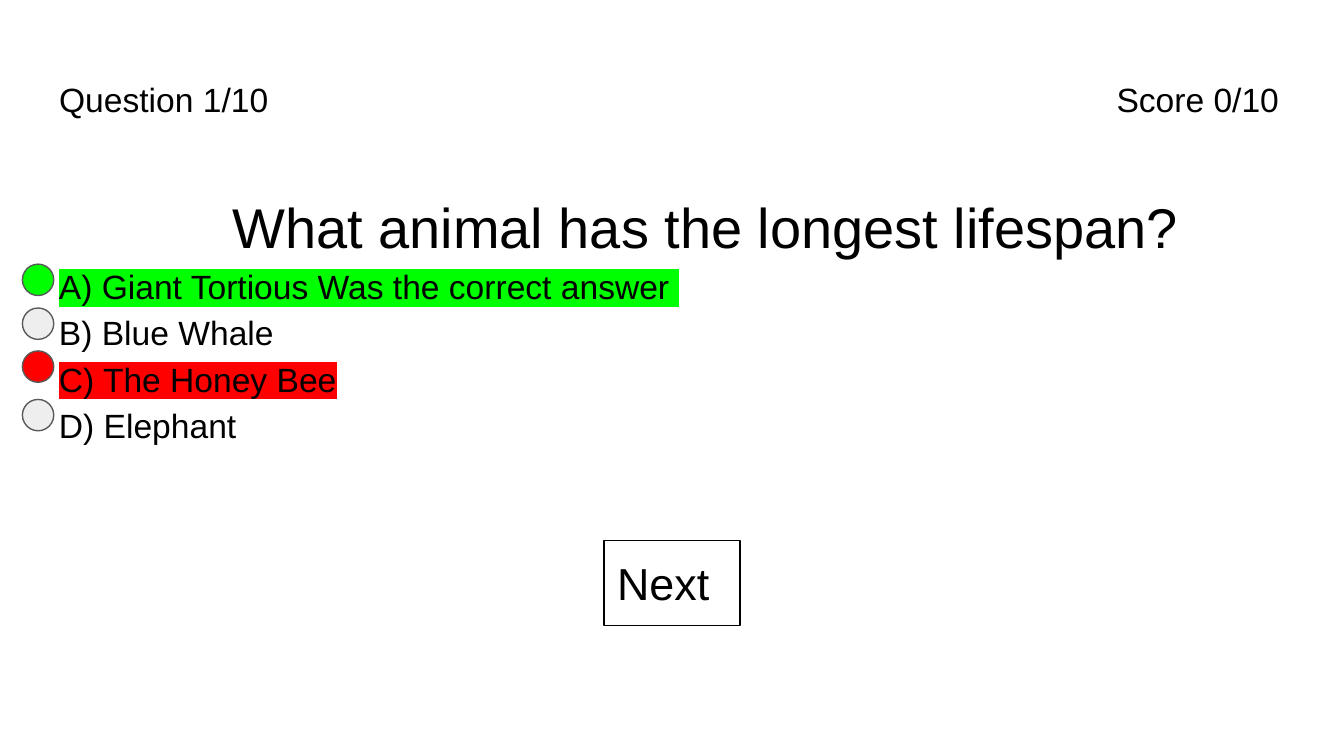
from dataclasses import dataclass

from lxml.etree import SubElement
from pptx import Presentation
from pptx.dml.color import RGBColor
from pptx.enum.shapes import MSO_SHAPE
from pptx.enum.text import MSO_ANCHOR, MSO_AUTO_SIZE, PP_ALIGN
from pptx.oxml.ns import qn
from pptx.util import Pt


@dataclass(frozen=True)
class Theme:
    font: str = "Arial"
    ink: str = "000000"
    outline: str = "595959"
    correct: str = "00FF00"
    wrong: str = "FF0000"
    neutral: str = "EEEEEE"
    text_size: int = 18
    question_size: int = 30
    button_size: int = 24


theme = Theme()


def format_text(para, size):
    para.alignment = PP_ALIGN.LEFT
    for span in para.runs:
        span.font.name = theme.font
        span.font.size = Pt(size)
        span.font.color.rgb = RGBColor.from_string(theme.ink)


def set_up_frame(frame, anchor):
    frame.word_wrap = True
    frame.auto_size = MSO_AUTO_SIZE.NONE
    frame.vertical_anchor = anchor
    frame.margin_left = frame.margin_right = Pt(7.2)
    frame.margin_top = frame.margin_bottom = Pt(7.2)


deck = Presentation()
deck.slide_width, deck.slide_height = Pt(720), Pt(405)
page = deck.slides.add_slide(deck.slide_layouts[5])

# Header: progress on the left, score at a right-aligned tab
header = page.shapes.title
header.left, header.top, header.width, header.height = Pt(24.5), Pt(35), Pt(671), Pt(45)
set_up_frame(header.text_frame, MSO_ANCHOR.TOP)
header.text_frame.text = "Question 1/10\tScore 0/10"
para = header.text_frame.paragraphs[0]
format_text(para, theme.text_size)
tabs = SubElement(para._p.get_or_add_pPr(), qn("a:tabLst"))
SubElement(tabs, qn("a:tab"), pos=str(Pt(653.5)), algn="r")

# Question and answers
answers = [
    ("A) Giant Tortious Was the correct answer ", theme.correct, 141.5),
    ("B) Blue Whale", None, 165),
    ("C) The Honey Bee", theme.wrong, 188),
    ("D) Elephant", None, 214),
]
quiz = page.shapes.add_textbox(Pt(24.5), Pt(90.75), Pt(671), Pt(269))
set_up_frame(quiz.text_frame, MSO_ANCHOR.TOP)
question = quiz.text_frame.paragraphs[0]
question.text = "What animal has the longest lifespan?"
format_text(question, theme.question_size)
question.alignment = PP_ALIGN.CENTER
question.line_spacing = 1.15
question._p.get_or_add_pPr().set("marL", str(Pt(36)))

for answer, mark, marker_top in answers:
    para = quiz.text_frame.add_paragraph()
    para.text = answer
    para.line_spacing = 1.15
    format_text(para, theme.text_size)
    if mark:
        properties = para.runs[0].font._element
        highlight = SubElement(properties, qn("a:highlight"))
        SubElement(highlight, qn("a:srgbClr"), val=mark)
        properties.find(qn("a:solidFill")).addnext(highlight)

    marker = page.shapes.add_shape(MSO_SHAPE.OVAL, Pt(12), Pt(marker_top), Pt(16.8), Pt(16.8))
    marker.shadow.inherit = False
    marker.fill.solid()
    marker.fill.fore_color.rgb = RGBColor.from_string(mark or theme.neutral)
    marker.line.color.rgb = RGBColor.from_string(theme.outline)
    marker.line.width = Pt(0.75)

# Next button
button = page.shapes.add_shape(MSO_SHAPE.RECTANGLE, Pt(323.5), Pt(289.5), Pt(73), Pt(45.5))
button.shadow.inherit = False
button.fill.background()
button.line.color.rgb = RGBColor.from_string(theme.ink)
button.line.width = Pt(0.75)
set_up_frame(button.text_frame, MSO_ANCHOR.MIDDLE)
button.text_frame.text = "Next"
format_text(button.text_frame.paragraphs[0], theme.button_size)

deck.save("out.pptx")
